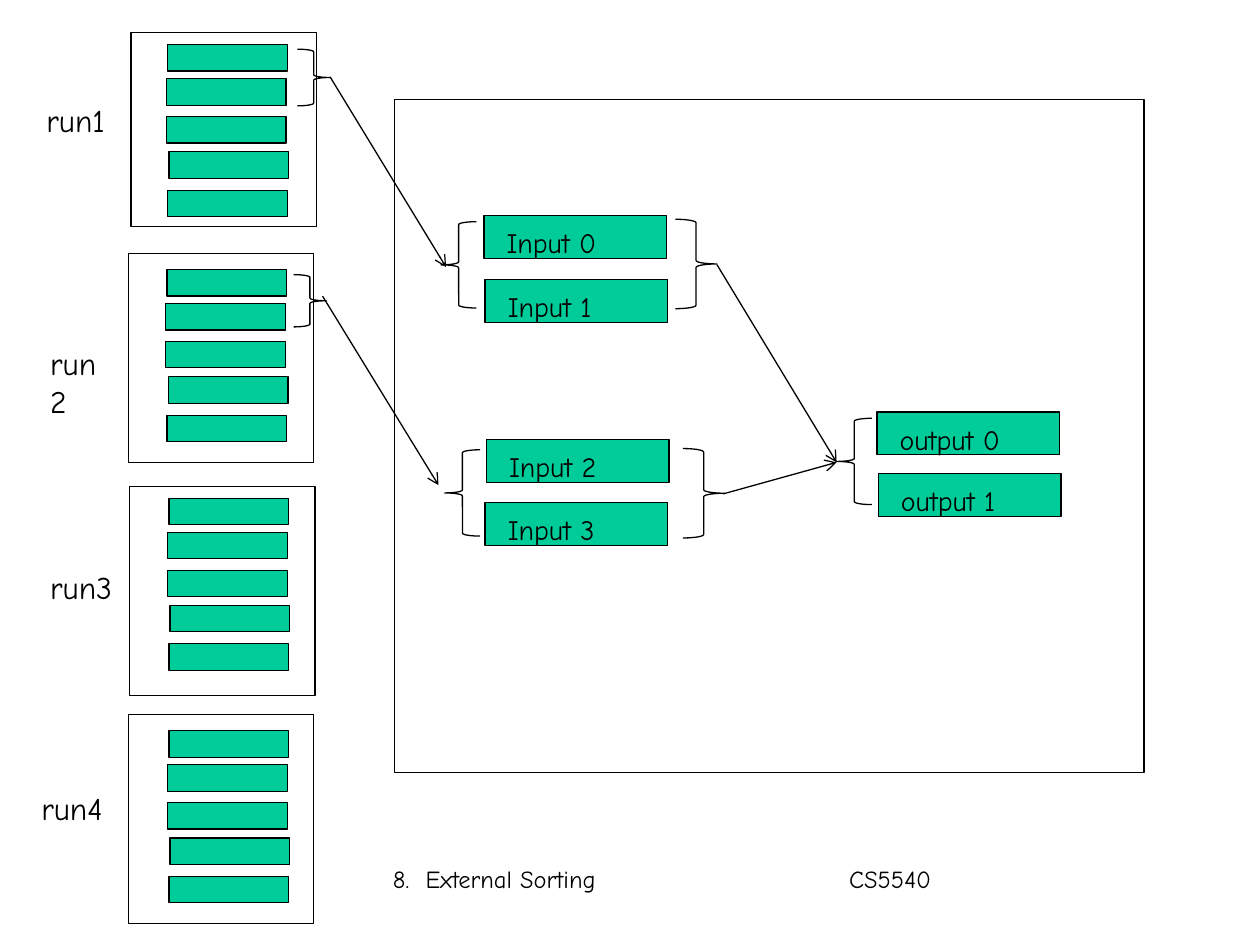
from typing import NamedTuple

from lxml import etree
from pptx import Presentation
from pptx import util as u
from pptx.dml.color import RGBColor
from pptx.enum import shapes, text
from pptx.oxml.ns import qn

W, H = u.Inches(10), u.Inches(7.5)
COLS, ROWS = 100, 75
FONT, INK, GREEN = "Comic Neue", "000000", "00CC99"
RECT = shapes.MSO_SHAPE.RECTANGLE
LEFT, RIGHT = shapes.MSO_SHAPE.LEFT_BRACE, shapes.MSO_SHAPE.RIGHT_BRACE


class Box(NamedTuple):
    col: float
    row: float
    cols: float
    rows: float


class Run(NamedTuple):
    name: str
    frame: Box
    label_col: float
    label_row: float
    page_col: float
    page_row: float


class Buffer(NamedTuple):
    name: str
    col: float
    row: float


class Brace(NamedTuple):
    kind: shapes.MSO_SHAPE
    box: Box


class Arrow(NamedTuple):
    start: tuple[float, float]
    end: tuple[float, float]


PAGES = [(0.1, 0), (0, 2.7), (0, 5.7), (0.2, 8.5), (0.1, 11.55)]
PAGE_SIZE = (9.5, 2.1)
BUFFER_SIZE = (14.5, 3.4)
MEMORY = Box(31.3, 7.9, 59.5, 53.4)
FOOTER = Box(30.2, 68.1, 59.9, 5)

RUNS = [
    Run("run1", Box(10.4, 2.6, 14.7, 15.4), 2.7, 7.5, 13.2, 3.55),
    Run("run2", Box(10.2, 20.1, 14.7, 16.6), 3, 26.8, 13.15, 21.4),
    Run("run3", Box(10.3, 38.6, 14.7, 16.6), 3, 44.6, 13.3, 39.55),
    Run("run4", Box(10.2, 56.7, 14.7, 16.6), 2.3, 62.1, 13.3, 58),
]
BUFFERS = [
    Buffer("Input 0", 38.4, 17.1),
    Buffer("Input 1", 38.5, 22.2),
    Buffer("Input 2", 38.6, 34.9),
    Buffer("Input 3", 38.5, 39.9),
    Buffer("output 0", 69.6, 32.7),
    Buffer("output 1", 69.7, 37.6),
]
BRACES = [
    Brace(RIGHT, Box(23.6, 3.9, 2.6, 4.5)),
    Brace(RIGHT, Box(23.3, 21.8, 2.6, 4.15)),
    Brace(LEFT, Box(35, 17.6, 2.8, 6.85)),
    Brace(LEFT, Box(35.3, 35.7, 2.8, 6.85)),
    Brace(RIGHT, Box(53.6, 17.4, 3.3, 7.1)),
    Brace(RIGHT, Box(54.2, 35.6, 3.3, 7.1)),
    Brace(LEFT, Box(66.4, 33.2, 2.8, 6.85)),
]
ARROWS = [
    Arrow((26.2, 6.1), (35.4, 21.2)),
    Arrow((25.6, 23.5), (34.8, 38.5)),
    Arrow((56.9, 21), (66.4, 36.7)),
    Arrow((57.4, 39.2), (66.4, 36.7)),
]


def rgb(value: str) -> RGBColor:
    return RGBColor.from_string(value)


def x(col: float) -> int:
    return round(W * col / COLS)


def y(row: float) -> int:
    return round(H * row / ROWS)


def emu(b: Box) -> tuple[int, int, int, int]:
    return x(b.col), y(b.row), x(b.cols), y(b.rows)


def ink(line) -> None:
    line.color.rgb = rgb(INK)
    line.width = u.Pt(0.75)


def outline(parent, kind, box: Box, fill: str = ""):
    sp = parent.add_shape(kind, *emu(box))
    sp.shadow.inherit = False
    if fill:
        sp.fill.solid()
        sp.fill.fore_color.rgb = rgb(fill)
    else:
        sp.fill.background()
    ink(sp.line)
    return sp


def write(sp, words: str, size: float, wrap: bool = False):
    tf = sp.text_frame
    tf.word_wrap = wrap
    tf.vertical_anchor = text.MSO_ANCHOR.TOP
    p = tf.paragraphs[0]
    p.text = words
    p.alignment = text.PP_ALIGN.LEFT
    p.font.name, p.font.size = FONT, u.Pt(size)
    p.font.color.rgb = rgb(INK)
    return p


def draw_run(s, run: Run) -> None:
    outline(s.shapes, RECT, run.frame)
    label = s.shapes.add_textbox(*emu(Box(run.label_col, run.label_row, 6.9, 4)))
    write(label, run.name, 18)
    group = s.shapes.add_group_shape()
    for dx, dy in PAGES:
        page = Box(run.page_col + dx, run.page_row + dy, *PAGE_SIZE)
        outline(group.shapes, RECT, page, GREEN)


def draw_buffer(s, buffer: Buffer) -> None:
    sp = outline(s.shapes, RECT, Box(buffer.col, buffer.row, *BUFFER_SIZE), GREEN)
    write(sp, buffer.name, 16)
    sp.text_frame.margin_left = u.Inches(0.18)
    sp.text_frame.margin_top = u.Inches(0.08)


def draw_arrow(s, arrow: Arrow) -> None:
    (c0, r0), (c1, r1) = arrow
    cx = s.shapes.add_connector(
        shapes.MSO_CONNECTOR.STRAIGHT, x(c0), y(r0), x(c1), y(r1))
    ink(cx.line)
    etree.SubElement(cx.line._get_or_add_ln(), qn("a:tailEnd"), type="arrow")
    etree.SubElement(cx._element.spPr, qn("a:effectLst"))


def draw_footer(s) -> None:
    sp = s.shapes.add_textbox(*emu(FOOTER))
    p = write(sp, "8.\tExternal Sorting\tCS5540", 14, wrap=True)
    tabs = etree.Element(qn("a:tabLst"))
    for stop in (0.26, 3.62):
        etree.SubElement(tabs, qn("a:tab"), pos=str(u.Inches(stop)), algn="l")
    p._p.get_or_add_pPr().insert(0, tabs)


def main() -> None:
    prs = Presentation()
    prs.slide_width, prs.slide_height = W, H
    s = prs.slides.add_slide(prs.slide_layouts[6])
    outline(s.shapes, RECT, MEMORY)
    draw_footer(s)
    for run in RUNS:
        draw_run(s, run)
    for buffer in BUFFERS:
        draw_buffer(s, buffer)
    for brace in BRACES:
        outline(s.shapes, brace.kind, brace.box)
    for arrow in ARROWS:
        draw_arrow(s, arrow)
    prs.save("out.pptx")


if __name__ == "__main__":
    main()
